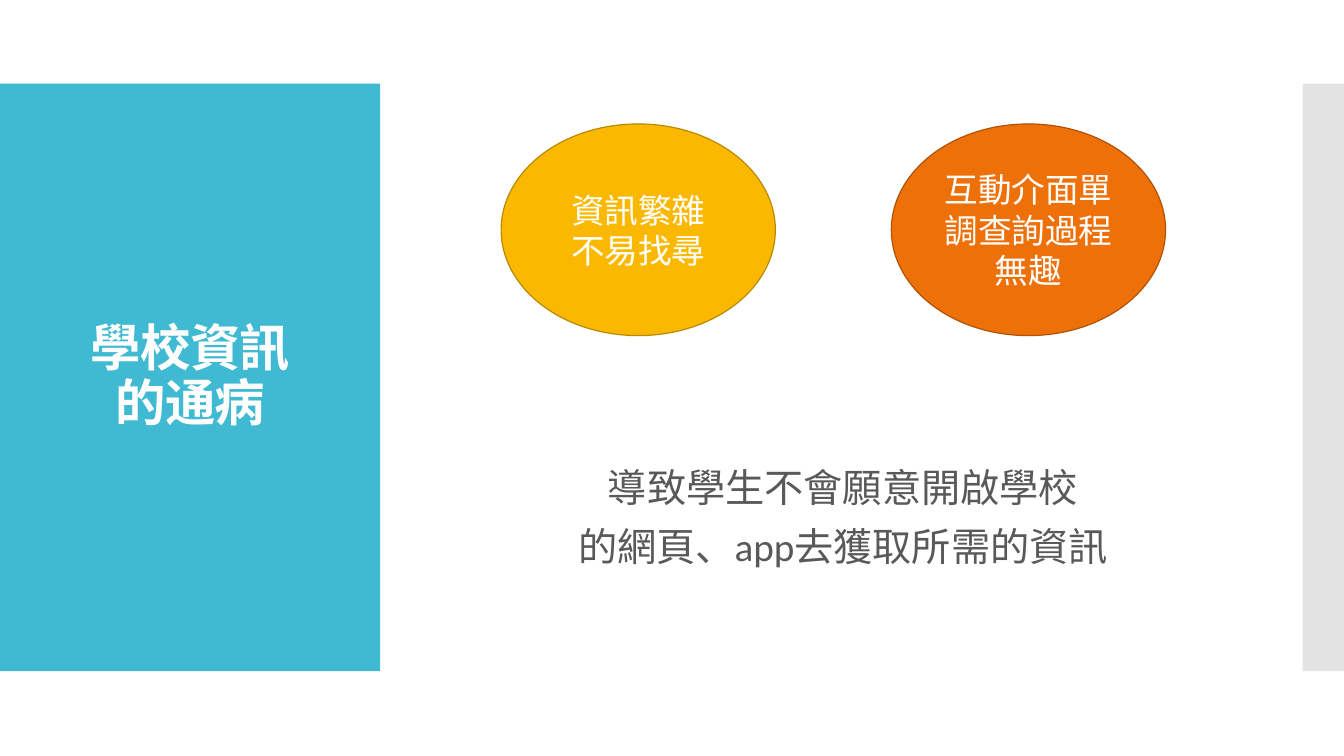
from dataclasses import dataclass

from lxml import etree
from pptx import Presentation
from pptx import util as u
from pptx.dml.color import RGBColor
from pptx.enum import shapes, text
from pptx.oxml.ns import qn


@dataclass(frozen=True)
class Theme:
    """Colours, font and type sizes of the slide."""

    font: str = "Calibri"
    white: str = "FFFFFF"
    teal: str = "40BAD2"
    grey: str = "C8C8C8"
    body: str = "595959"
    yellow: str = "FAB900"
    yellow_edge: str = "B98900"
    orange: str = "EE7008"
    orange_edge: str = "B05306"
    title_size: int = 36
    bubble_size: int = 24
    body_size: int = 28


THEME = Theme()


def place(shape, box):
    """Move and size a shape to a box given in inches."""
    shape.left, shape.top, shape.width, shape.height = map(u.Inches, box)


def write(shape, wording, size, color, bold=False):
    """Fill a shape with centred text in the theme font."""
    frame = shape.text_frame
    frame.text = wording
    frame.word_wrap = True
    frame.auto_size = text.MSO_AUTO_SIZE.NONE
    frame.vertical_anchor = text.MSO_ANCHOR.MIDDLE
    for paragraph in frame.paragraphs:
        paragraph.alignment = text.PP_ALIGN.CENTER
        for run in paragraph.runs:
            run.font.name = THEME.font
            run.font.size = u.Pt(size)
            run.font.bold = bold
            run.font.color.rgb = RGBColor.from_string(color)


def add_filled(slide, kind, box, fill, edge=None):
    """Add a flat preset shape with an optional thin outline."""
    shape = slide.shapes.add_shape(kind, *map(u.Inches, box))
    shape.shadow.inherit = False
    shape.fill.solid()
    shape.fill.fore_color.rgb = RGBColor.from_string(fill)
    if edge:
        shape.line.color.rgb = RGBColor.from_string(edge)
        shape.line.width = u.Pt(0.85)
    else:
        shape.line.fill.background()
    return shape


def add_title_panel(slide, box):
    """Place the title on a teal panel."""
    left, top, width, height = box
    title = slide.shapes.title
    panel = add_filled(slide, shapes.MSO_SHAPE.RECTANGLE, box, THEME.teal)
    title.element.addprevious(panel.element)
    place(title, (left + 0.28, top + 0.4, width - 0.55, height - 0.8))
    write(title, "學校資訊\v的通病", THEME.title_size, THEME.white, bold=True)
    paragraph = title.text_frame.paragraphs[0]
    paragraph.line_spacing = 0.9
    for run in paragraph.runs:
        run.font._element.set("spc", "-60")


def add_edge_strip(slide, box):
    """Add the half-transparent strip at the right edge."""
    strip = add_filled(slide, shapes.MSO_SHAPE.RECTANGLE, box, THEME.grey)
    slide.shapes.title.element.addprevious(strip.element)
    color = strip.element.spPr.find(qn("a:solidFill"))[0]
    etree.SubElement(color, qn("a:alpha")).set("val", "50000")


def add_problems(slide, box):
    """Place the two problem bubbles at both ends of the box."""
    left, top, width, height = box
    bubble_width = 2.72
    problems = (
        ("資訊繁雜\n不易找尋", THEME.yellow, THEME.yellow_edge),
        ("互動介面單調查詢過程無趣", THEME.orange, THEME.orange_edge),
    )
    for index, (wording, fill, edge) in enumerate(problems):
        bubble_box = (left + index * (width - bubble_width), top, bubble_width, height)
        bubble = add_filled(slide, shapes.MSO_SHAPE.OVAL, bubble_box, fill, edge)
        write(bubble, wording, THEME.bubble_size, THEME.white)


def add_consequence(slide, box):
    """Write the consequence in the body placeholder without bullets."""
    body = slide.placeholders[1]
    place(body, box)
    write(body, "導致學生不會願意開啟學校\n的網頁、app去獲取所需的資訊", THEME.body_size, THEME.body)
    for index, paragraph in enumerate(body.text_frame.paragraphs):
        paragraph.line_spacing = 0.9
        paragraph.space_before = u.Pt(12 if index else 0)
        properties = paragraph._p.get_or_add_pPr()
        properties.set("marL", "0")
        properties.set("indent", "0")
        etree.SubElement(properties, qn("a:buNone"))


def main():
    """Build and save the slide."""
    presentation = Presentation()
    presentation.slide_width = u.Inches(13.33)
    presentation.slide_height = u.Inches(7.5)
    slide = presentation.slides.add_slide(presentation.slide_layouts[1])
    add_title_panel(slide, (0, 0.83, 3.77, 5.83))
    add_edge_strip(slide, (12.92, 0.83, 0.41, 5.83))
    add_problems(slide, (4.97, 1.23, 6.59, 2.1))
    add_consequence(slide, (4.36, 4.21, 8, 1.88))
    presentation.save("out.pptx")


if __name__ == "__main__":
    main()
